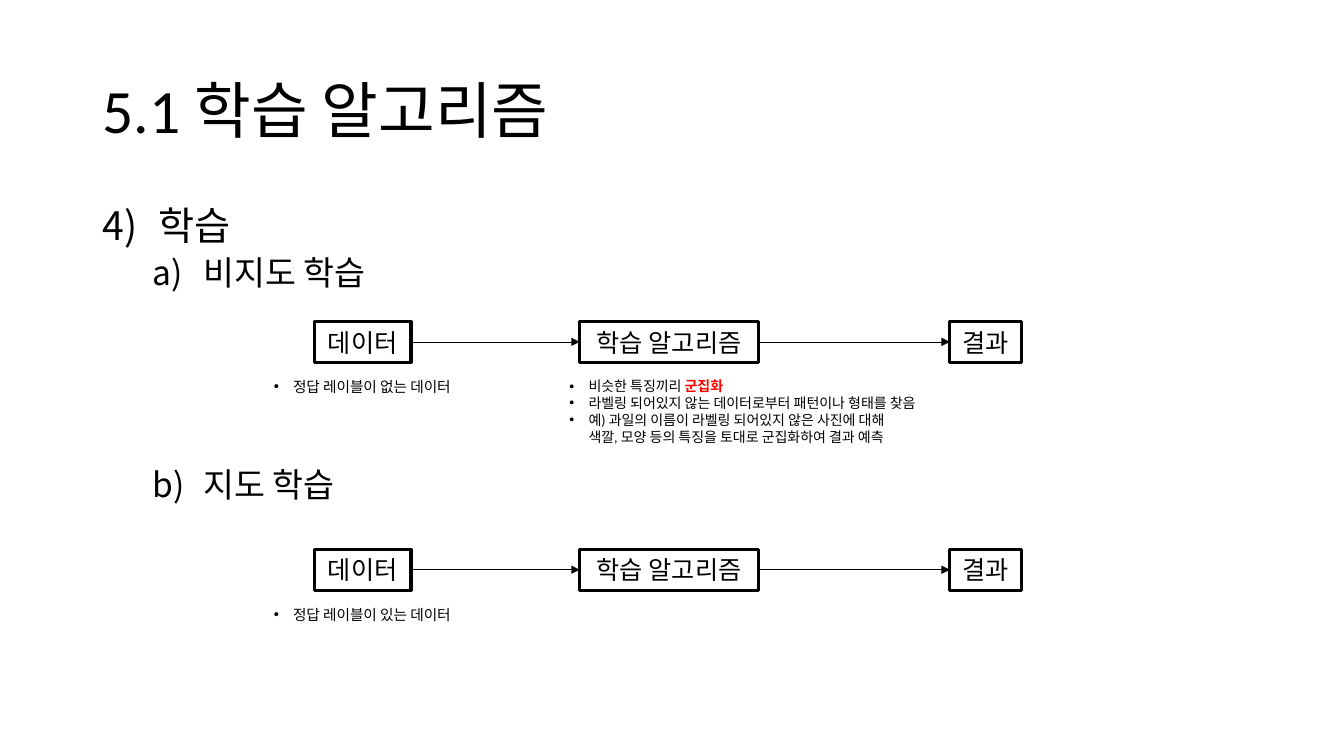
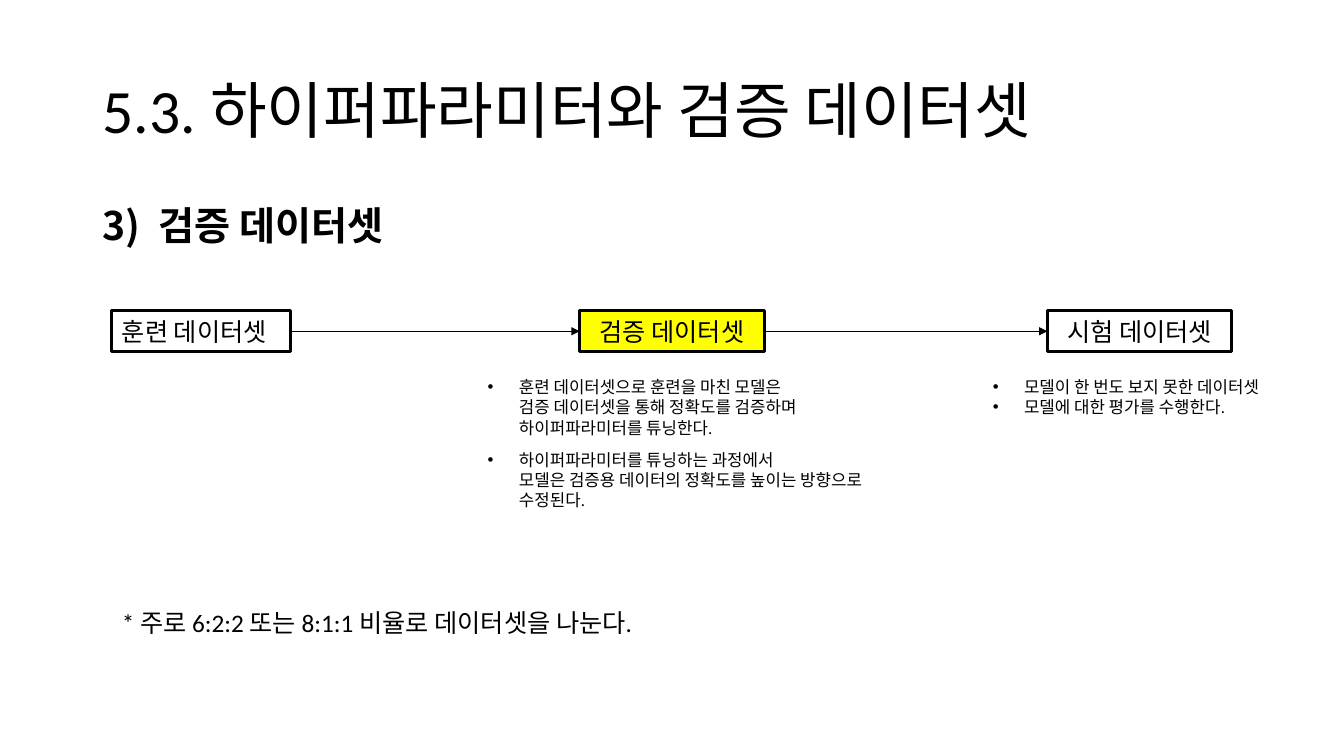
from lxml import etree
from pptx import Presentation
from pptx.dml.color import RGBColor
from pptx.enum.shapes import MSO_CONNECTOR, MSO_SHAPE
from pptx.enum.text import MSO_ANCHOR, MSO_AUTO_SIZE, PP_ALIGN
from pptx.oxml.ns import qn
from pptx.util import Inches, Pt

BLACK = RGBColor(0x00, 0x00, 0x00)
WHITE = RGBColor(0xFF, 0xFF, 0xFF)
RED = RGBColor(0xFF, 0x00, 0x00)
YELLOW = RGBColor(0xFF, 0xFF, 0x00)

LEFT, CENTER = PP_ALIGN.LEFT, PP_ALIGN.CENTER
TOP, MIDDLE = MSO_ANCHOR.TOP, MSO_ANCHOR.MIDDLE
RECTANGLE, STRAIGHT = MSO_SHAPE.RECTANGLE, MSO_CONNECTOR.STRAIGHT
FIXED, GROW = MSO_AUTO_SIZE.NONE, MSO_AUTO_SIZE.SHAPE_TO_FIT_TEXT
RIGHT_SIDE, LEFT_SIDE = 3, 1

FONT = "Calibri"
TITLE_AREA = (6.88, 5.33, 86.25, 19.33)
BODY_AREA = (6.88, 26.67, 86.25, 63.47)
BOX_HEIGHT = 5.39
NOTE_DROP = 6.8
LEVELS = [("arabicParenR", 28, 0.56, 0.56, 10), ("alphaLcParenR", 24, 1, 0.5, 5)]


class Deck:
    """Hold the shared style and the current slide; areas are percentages of the slide."""

    def __init__(self):
        self.prs = Presentation()
        self.prs.slide_width, self.prs.slide_height = Inches(13.33), Inches(7.5)
        self.slide = None

    def area(self, left, top, width, height):
        across, down = self.prs.slide_width / 100, self.prs.slide_height / 100
        return int(left * across), int(top * down), int(width * across), int(height * down)

    def add_text(self, paragraph, text, size, color=BLACK, bold=False):
        for i, line in enumerate(text.split("\n")):
            if i:
                paragraph.add_line_break()
            run = paragraph.add_run()
            run.text = line
            run.font.name, run.font.size = FONT, Pt(size)
            run.font.color.rgb, run.font.bold = color, bold

    def mark(self, paragraph, tag, indent, hanging, **settings):
        properties = paragraph._p.get_or_add_pPr()
        properties.set("marL", str(Inches(indent)))
        properties.set("indent", str(-Inches(hanging)))
        if tag == "a:buChar":
            etree.SubElement(properties, qn("a:buFont"), typeface="Arial")
        etree.SubElement(properties, qn(tag), **settings)

    def paragraphs(self, frame, count):
        return [frame.paragraphs[0]] + [frame.add_paragraph() for _ in range(count - 1)]

    def place(self, placeholder, area, anchor):
        placeholder.left, placeholder.top, placeholder.width, placeholder.height = self.area(*area)
        frame = placeholder.text_frame
        frame.auto_size, frame.vertical_anchor = FIXED, anchor
        return frame

    def new_slide(self, title, outline, start, bold=False):
        self.slide = self.prs.slides.add_slide(self.prs.slide_layouts[1])
        heading = self.place(self.slide.shapes.title, TITLE_AREA, MIDDLE).paragraphs[0]
        heading.alignment, heading.line_spacing = LEFT, 0.9
        self.add_text(heading, title, 44)
        body = self.place(self.slide.placeholders[1], BODY_AREA, TOP)
        for paragraph, (level, text, gap) in zip(self.paragraphs(body, len(outline)), outline):
            scheme, size, indent, hanging, before = LEVELS[level]
            paragraph.level, paragraph.alignment = level, LEFT
            paragraph.line_spacing, paragraph.space_before = 0.9, Pt(before + gap)
            numbering = {"type": scheme}
            if level == 0:
                numbering["startAt"] = str(start)
            self.mark(paragraph, "a:buAutoNum", indent, hanging, **numbering)
            self.add_text(paragraph, text, size, bold=bold)

    def box(self, text, left, top, width, fill=WHITE, align=CENTER):
        box = self.slide.shapes.add_shape(RECTANGLE, *self.area(left, top, width, BOX_HEIGHT))
        box.shadow.inherit = False
        box.fill.solid()
        box.fill.fore_color.rgb = fill
        box.line.color.rgb, box.line.width = BLACK, Pt(2.25)
        frame = box.text_frame
        frame.word_wrap, frame.auto_size, frame.vertical_anchor = False, GROW, MIDDLE
        frame.paragraphs[0].alignment = align
        self.add_text(frame.paragraphs[0], text, 18)
        return box

    def arrow(self, source, target):
        arrow = self.slide.shapes.add_connector(STRAIGHT, 0, 0, 0, 0)
        arrow.begin_connect(source, RIGHT_SIDE)
        arrow.end_connect(target, LEFT_SIDE)
        arrow.line.color.rgb, arrow.line.width = BLACK, Pt(0.5)
        etree.SubElement(arrow.line._get_or_add_ln(), qn("a:tailEnd"), type="triangle")
        etree.SubElement(arrow._element.spPr, qn("a:effectLst"))

    def flow(self, top, steps):
        boxes = [self.box(text, left, top, width, **look) for text, left, width, look in steps]
        for source, target in zip(boxes, boxes[1:]):
            self.arrow(source, target)

    def note(self, area, items, size, hanging=0, align=LEFT, gap=0):
        frame = self.slide.shapes.add_textbox(*self.area(*area)).text_frame
        frame.word_wrap, frame.auto_size = False, GROW
        for i, (paragraph, runs) in enumerate(zip(self.paragraphs(frame, len(items)), items)):
            paragraph.alignment = align
            if i and gap:
                paragraph.space_before = Pt(gap)
            if hanging:
                self.mark(paragraph, "a:buChar", hanging, hanging, char="•")
            for text, *emphasis in runs:
                self.add_text(paragraph, text, size, *emphasis)


def learning_slide(deck):
    deck.new_slide(
        "5.1 학습 알고리즘",
        [(0, "학습", 0), (1, "비지도 학습", 0), (1, "지도 학습", 121)],
        start=4,
    )
    steps = [("데이터", 23.4, 7.18, {}), ("학습 알고리즘", 43.13, 13.32, {}), ("결과", 70.67, 5.33, {})]
    unsupervised, supervised = 42.53, 72.67
    for top, labels in ((unsupervised, "없는"), (supervised, "있는")):
        deck.flow(top, steps)
        deck.note((19.05, top + NOTE_DROP, 15.83, 3.73), [[(f"정답 레이블이 {labels} 데이터",)]],
                  10.5, 0.19, CENTER)
    deck.note((41.63, unsupervised + NOTE_DROP, 29.63, 10.27), [
        [("비슷한 특징끼리 ",), ("군집화", RED, True)],
        [("라벨링 되어있지 않는 데이터로부터 패턴이나 형태를 찾음",)],
        [("예) 과일의 이름이 라벨링 되어있지 않은 사진에 대해\n"
          "색깔, 모양 등의 특징을 토대로 군집화하여 결과 예측",)],
    ], 10, 0.19)


def validation_slide(deck):
    deck.new_slide("5.3. 하이퍼파라미터와 검증 데이터셋", [(0, "검증 데이터셋", 0)], start=3, bold=True)
    deck.flow(41.13, [
        ("훈련 데이터셋", 8.33, 13.28, {"align": LEFT}),
        ("검증 데이터셋", 43.13, 13.73, {"fill": YELLOW}),
        ("시험 데이터셋", 77.93, 13.73, {}),
    ])
    deck.note((35.55, 49.2, 31.8, 19.07), [
        [("훈련 데이터셋으로 훈련을 마친 모델은\n검증 데이터셋을 통해 정확도를 검증하며\n하이퍼파라미터를 튜닝한다.",)],
        [("하이퍼파라미터를 튜닝하는 과정에서\n모델은 검증용 데이터의 정확도를 높이는 방향으로\n수정된다.",)],
    ], 12, 0.31, gap=8.5)
    deck.note((73.13, 49.2, 23.03, 6.67), [
        [("모델이 한 번도 보지 못한 데이터셋",)],
        [("모델에 대한 평가를 수행한다.",)],
    ], 12, 0.31)
    deck.note((8.33, 79.73, 42.15, 5.33), [[("* 주로 6:2:2 또는 8:1:1 비율로 데이터셋을 나눈다.",)]], 18)


def main():
    deck = Deck()
    learning_slide(deck)
    validation_slide(deck)
    deck.prs.save("out.pptx")


if __name__ == "__main__":
    main()
